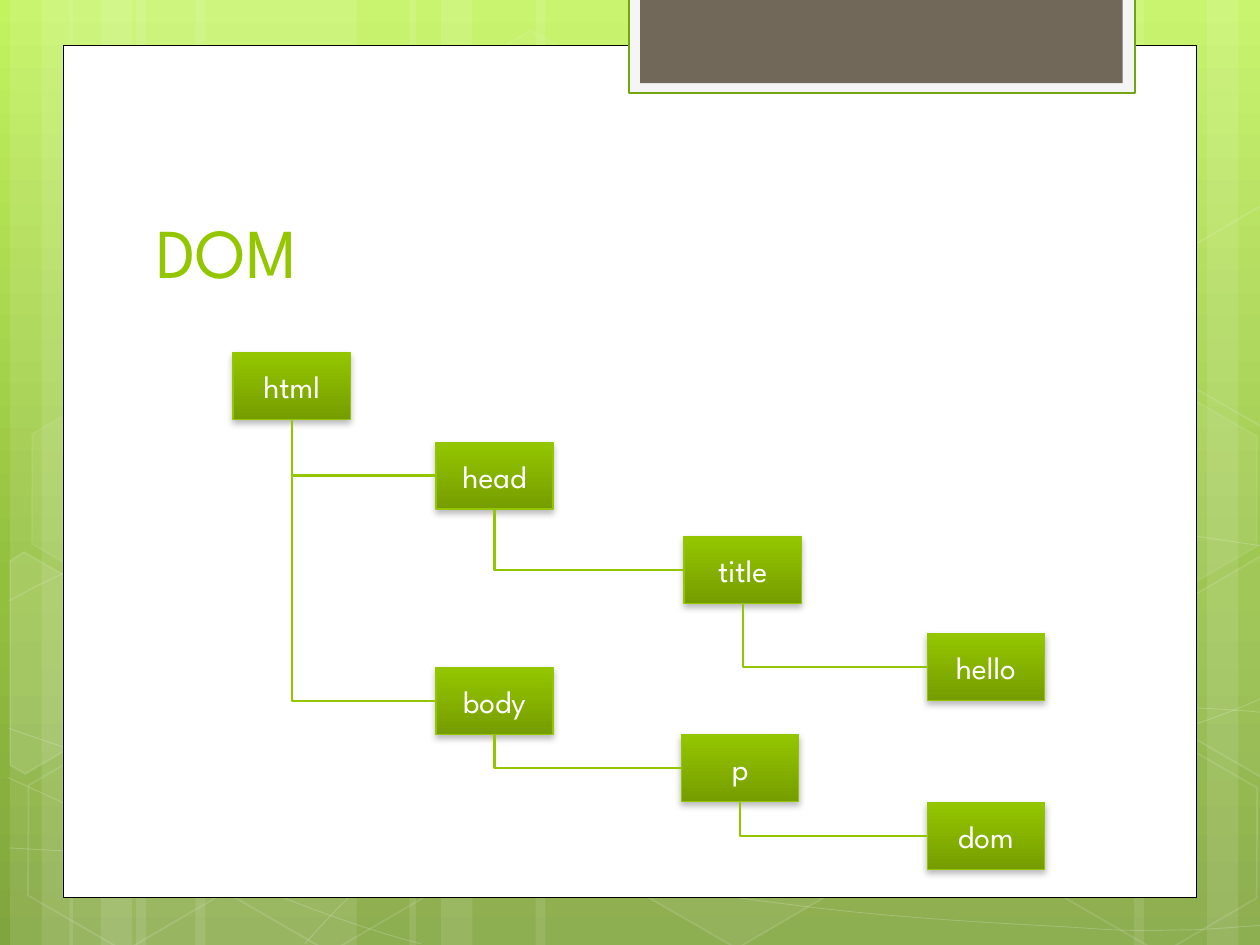
from copy import deepcopy
from math import cos, radians, sin

from lxml import etree
from pptx import Presentation
from pptx.dml.color import RGBColor
from pptx.enum.shapes import MSO_CONNECTOR, MSO_SHAPE
from pptx.enum.text import MSO_ANCHOR, PP_ALIGN
from pptx.oxml.ns import qn
from pptx.util import Inches, Pt

RECT, HEXAGON = MSO_SHAPE.RECTANGLE, MSO_SHAPE.HEXAGON
ELBOW = MSO_CONNECTOR.ELBOW
LEFT, CENTER = PP_ALIGN.LEFT, PP_ALIGN.CENTER
BOTTOM, MIDDLE = MSO_ANCHOR.BOTTOM, MSO_ANCHOR.MIDDLE
BOTTOM_SITE, LEFT_SITE = 2, 1

FONT = "League Spartan"
COLORS = {"white": "FFFFFF", "black": "000000", "green": "94C600",
          "dark_green": "769D00", "tab_line": "74A510",
          "tab_edge": "F5F5F5", "tab": "71685A"}
SKY = [(0, "C3F35F"), (0.62, "93BF3F"), (1, "81A53E")]
NODE_FILL = [(0, COLORS["green"]), (1, COLORS["dark_green"])]

# Content: the tree as node -> (left, top, parent)
TITLE = "DOM"
NODE_W, NODE_H = 0.93, 0.53
TREE = {
    "html": (1.85, 2.8, None),
    "head": (3.46, 3.51, "html"),
    "title": (5.43, 4.26, "head"),
    "hello": (7.36, 5.03, "title"),
    "body": (3.46, 5.3, "html"),
    "p": (5.41, 5.83, "body"),
    "dom": (7.36, 6.37, "p"),
}

# Backdrop: stripes (left, width), curves (start, then Bezier points in
# threes), hexagons (left, top, fill %, line %) and
# cut hexagons (centre, fill %, corners)
TILT = 30
STRIPES = [(1.08, 1.75), (0.08, 0.5), (0.33, 0.83), (1.55, 1.75),
           (0.55, 0.5), (0.8, 0.83), (7.33, 1.75), (9.58, 0.5),
           (9, 0.83), (4.25, 3.08), (3.25, 0.5), (3.5, 0.83)]
CURVES = [
    [(0.07, 6.73), (0.61, 6.76), (1.15, 6.79), (1.9, 6.78),
     (2.65, 6.77), (3.58, 6.75), (4.58, 6.65), (5.58, 6.55), (7, 6.36),
     (7.92, 6.17), (8.83, 5.98), (9.77, 5.68), (10.07, 5.51)],
    [(0.07, 4.77), (0.36, 4.61), (0.65, 4.46), (1.21, 4.31),
     (1.78, 4.16), (2.59, 3.94), (3.47, 3.87), (4.36, 3.8), (5.44, 3.79),
     (6.54, 3.87), (7.64, 3.95), (9.47, 4.26), (10.07, 4.34)],
    [(0.06, 6.17), (1.27, 6.72), (2.47, 7.27), (3.34, 7.49)],
    [(0.07, 5.78), (0.38, 5.89), (0.7, 6), (1.28, 6.16),
     (1.86, 6.31), (2.73, 6.56), (3.57, 6.73), (4.4, 6.9), (5.45, 7.08),
     (6.28, 7.18), (7.11, 7.29), (8, 7.33), (8.53, 7.36), (9.05, 7.4),
     (9.19, 7.38), (9.45, 7.38), (9.71, 7.37), (9.89, 7.35), (10.07, 7.34)],
    [(2.42, 7.49), (2.6, 7.29), (2.78, 7.09), (3.02, 6.91),
     (3.26, 6.73), (3.6, 6.53), (3.88, 6.39), (4.16, 6.25), (4.33, 6.19),
     (4.7, 6.09), (5.06, 5.99), (5.73, 5.85), (6.08, 5.78), (6.44, 5.71),
     (6.49, 5.71), (6.8, 5.69), (7.11, 5.66), (7.6, 5.63), (7.94, 5.62),
     (8.29, 5.61), (8.86, 5.62), (8.86, 5.62), (9.08, 5.62), (9.3, 5.62),
     (9.53, 5.62), (9.71, 5.63), (9.88, 5.64), (9.97, 5.65),
     (10.06, 5.66), (10.03, 5.65), (10.06, 5.66)],
]
HEXAGONS = [(3.34, 0.36, 4, 8), (4.97, 5.89, 6, 12), (0.11, 5.91, 0, 12),
            (0.14, 3.12, 7, 8), (1.74, 5.92, 0, 12), (7.53, 4.53, 10, 12),
            (8.34, 5.93, 0, 12), (8.34, 3.14, 7, 8)]
CUT_HEXAGONS = [
    ((0.36, 5.35), 10, [(0.08, 4.45), (0.19, 4.38), (0.96, 4.82),
                        (0.95, 5.7), (0.2, 6.14), (0.08, 6.07)]),
    ((9.85, 5.2), 4, [(9.26, 4.85), (10.01, 4.41), (10.09, 4.46),
                      (10.09, 6.13), (10.02, 6.17), (9.26, 5.73)]),
    ((9.85, 2.41), 0, [(9.26, 2.07), (10.01, 1.63), (10.1, 1.68),
                       (10.09, 3.35), (10.02, 3.39), (9.26, 2.95)]),
]


def paint(fill, owner, color, opacity):
    """Solid fill; the opacity goes on the colour inside the owner element."""
    if not color or not opacity:
        fill.background()
        return
    fill.solid()
    fill.fore_color.rgb = RGBColor.from_string(color)
    if opacity < 100:
        tint = owner.find(qn("a:solidFill")).find(qn("a:srgbClr"))
        etree.SubElement(tint, qn("a:alpha")).set("val", str(opacity * 1000))


def style(shape, fill=None, opacity=100, line=None, width=1, line_opacity=100):
    shape.shadow.inherit = False
    properties = shape._element.spPr
    paint(shape.fill, properties, fill, opacity)
    shape.line.width = Pt(width)
    paint(shape.line.fill, properties.find(qn("a:ln")), line, line_opacity)


def paint_gradient(fill, owner, stops):
    fill.gradient()
    fill.gradient_angle = 270
    stop_list = next(owner.iter(qn("a:gsLst")))
    while len(stop_list) < len(stops):
        stop_list.append(deepcopy(stop_list[0]))
    for stop, (position, color) in zip(fill.gradient_stops, stops):
        stop.position = position
        stop.color.rgb = RGBColor.from_string(color)


def write(frame, text, size, color, align, anchor):
    frame.text = text
    frame.vertical_anchor = anchor
    frame.paragraphs[0].alignment = align
    font = frame.paragraphs[0].runs[0].font
    font.name, font.size = FONT, Pt(size)
    font.color.rgb = RGBColor.from_string(color)


def add_box(shapes, kind, *place):
    return shapes.add_shape(kind, *map(Inches, place))


def add_outline(shapes, points, close):
    corners = [(Inches(x), Inches(y)) for x, y in points]
    builder = shapes.build_freeform(*corners[0], scale=1.0)
    builder.add_line_segments(corners[1:], close=close)
    return builder.convert_to_shape()


def add_curve(shapes, points):
    curve = add_outline(shapes, points, False)
    outline = next(curve._element.iter(qn("a:path")))
    legs = outline.findall(qn("a:lnTo"))
    for i in range(0, len(legs), 3):
        bend = etree.SubElement(outline, qn("a:cubicBezTo"))
        for leg in legs[i:i + 3]:
            bend.append(leg[0])
            outline.remove(leg)
    return curve


def untilt(point, centre):
    dx, dy = point[0] - centre[0], point[1] - centre[1]
    c, s = cos(radians(TILT)), sin(radians(TILT))
    return centre[0] + dx * c + dy * s, centre[1] - dx * s + dy * c


def add_backdrop(shapes):
    white = COLORS["white"]
    for left, width in STRIPES:
        style(add_box(shapes, RECT, left, 0, width, 7.5), white, 10)
    for curve in CURVES:
        style(add_curve(shapes, curve), None, 0, white, 0.5, 20)
    for left, top, opacity, line_opacity in HEXAGONS:
        hexagon = add_box(shapes, HEXAGON, left, top, 1.75, 1.52)
        hexagon.adjustments[0] = 0.285
        hexagon.rotation = TILT
        style(hexagon, white, opacity, white, 1, line_opacity)
    for centre, opacity, corners in CUT_HEXAGONS:
        upright = [untilt(corner, centre) for corner in corners]
        hexagon = add_outline(shapes, upright, True)
        hexagon.rotation = TILT
        style(hexagon, white, opacity, white, 1, 12)
    # Page panel and the tab hanging from the top
    style(add_box(shapes, RECT, 0.5, 0.36, 9, 6.76), white,
          line=COLORS["black"], width=0.5)
    style(add_box(shapes, RECT, 4.99, -0.02, 4.02, 0.76), COLORS["tab_edge"],
          line=COLORS["tab_line"], width=1.25)
    style(add_box(shapes, RECT, 5.08, -0.02, 3.83, 0.68), COLORS["tab"])


def add_node(shapes, label, left, top):
    node = add_box(shapes, RECT, left, top, NODE_W, NODE_H)
    style(node, line=COLORS["green"], width=0.75)
    paint_gradient(node.fill, node._element, NODE_FILL)
    effects = node._element.spPr.find(qn("a:effectLst"))
    shadow = etree.SubElement(effects, qn("a:outerShdw"), blurRad=str(Pt(4)),
                              dist=str(Pt(2)), dir="5400000", rotWithShape="0")
    tint = etree.SubElement(shadow, qn("a:srgbClr"), val=COLORS["black"])
    etree.SubElement(tint, qn("a:alpha"), val="28000")
    write(node.text_frame, label, 18, COLORS["white"], CENTER, MIDDLE)
    return node


def add_branch(shapes, parent, child):
    """Go down from the parent, then right to the child."""
    x1, y1 = parent.left + parent.width // 2, parent.top + parent.height
    x2, y2 = child.left, child.top + child.height // 2
    branch = shapes.add_connector(ELBOW, x1, y1, x2, y2)
    branch.begin_connect(parent, BOTTOM_SITE)
    branch.end_connect(child, LEFT_SITE)
    # A single bend is a quarter-turned, mirrored bentConnector2
    run, drop = x2 - x1, y2 - y1
    branch.left, branch.top = (x1 + x2 - drop) // 2, (y1 + y2 - run) // 2
    branch.width, branch.height = drop, run
    properties = branch._element.spPr
    frame = properties.find(qn("a:xfrm"))
    frame.set("rot", "16200000")
    frame.set("flipH", "1")
    properties.find(qn("a:prstGeom")).set("prst", "bentConnector2")
    branch.line.width = Pt(1.25)
    branch.line.color.rgb = RGBColor.from_string(COLORS["green"])
    etree.SubElement(properties, qn("a:effectLst"))


deck = Presentation()
deck.slide_width, deck.slide_height = Inches(10), Inches(7.5)
slide = deck.slides.add_slide(deck.slide_layouts[5])
paint_gradient(slide.background.fill, slide._element, SKY)
add_backdrop(slide.shapes)

# Title, brought in front of the backdrop
title = slide.shapes.title
title.left, title.top = Inches(1.14), Inches(1.12)
title.width, title.height = Inches(7.68), Inches(1.25)
write(title.text_frame, TITLE, 40, COLORS["green"], LEFT, BOTTOM)
title._element.getparent().append(title._element)

# Tree
nodes = {label: add_node(slide.shapes, label, left, top)
         for label, (left, top, _) in TREE.items()}
for label, (_, _, parent) in TREE.items():
    if parent:
        add_branch(slide.shapes, nodes[parent], nodes[label])
deck.save("out.pptx")
